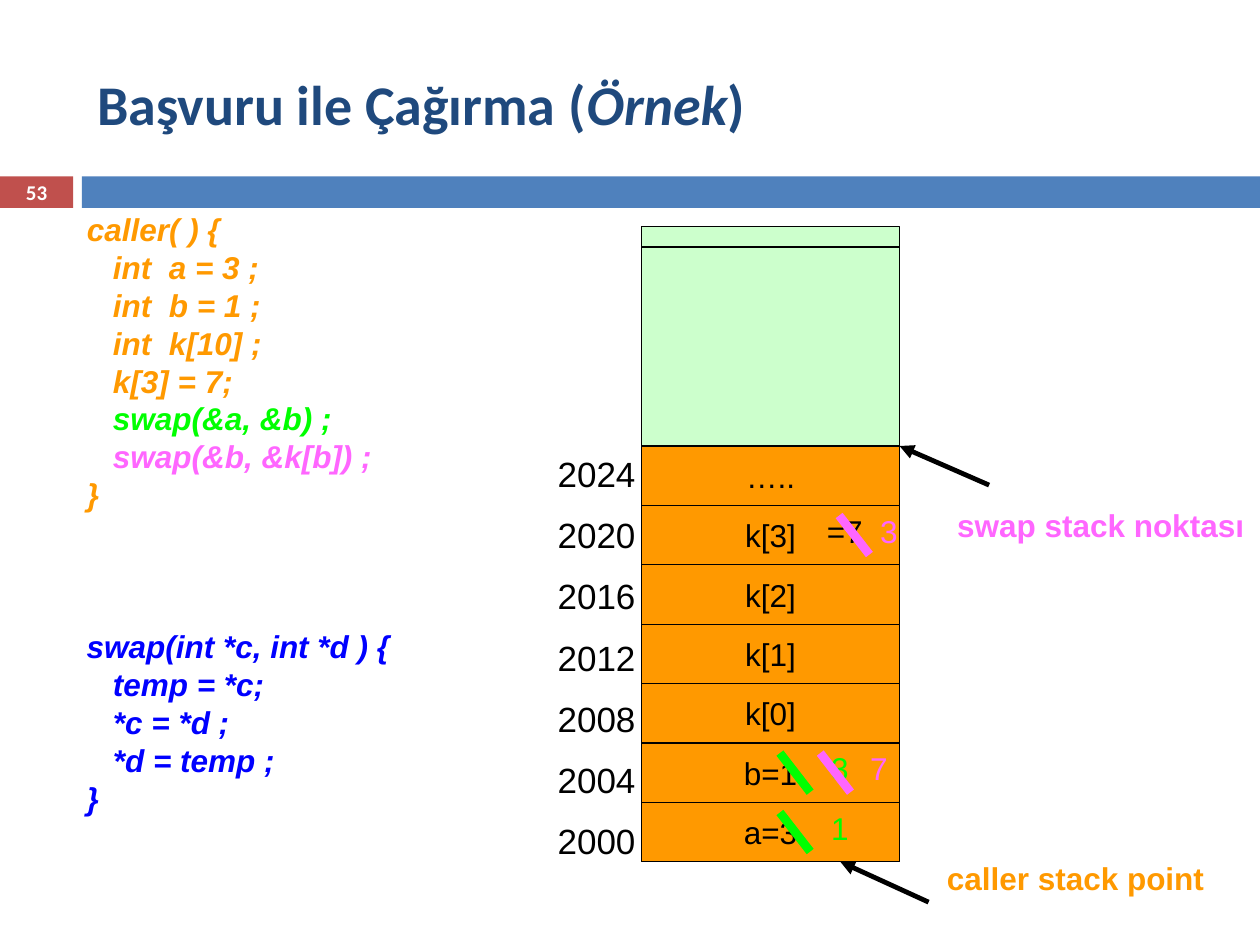
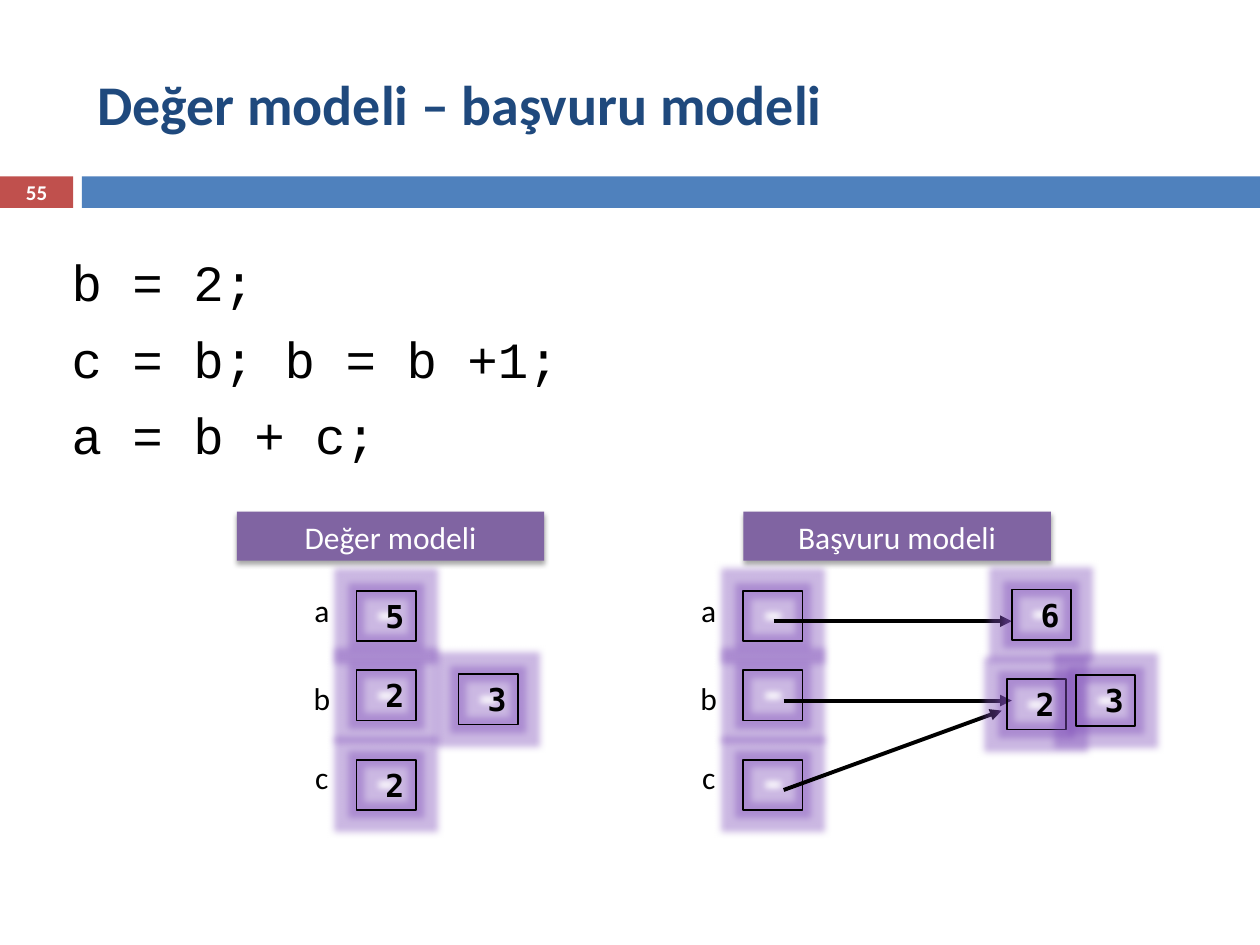
from lxml.etree import SubElement
from pptx import Presentation
from pptx.dml.color import RGBColor
from pptx.enum.shapes import MSO_CONNECTOR, MSO_SHAPE
from pptx.enum.text import MSO_ANCHOR, PP_ALIGN
from pptx.oxml.ns import qn
from pptx.util import Inches, Pt

# Colours
NAVY = RGBColor(0x1F, 0x49, 0x7D)
BLUE = RGBColor(0x4F, 0x81, 0xBD)
RED = RGBColor(0xC0, 0x50, 0x4D)
PURPLE = RGBColor(0x80, 0x64, 0xA2)
ORANGE = RGBColor(0xFF, 0x99, 0x00)
GREEN = RGBColor(0x00, 0xFF, 0x00)
MINT = RGBColor(0xCC, 0xFF, 0xCC)
PINK = RGBColor(0xFF, 0x66, 0xFF)
INK = RGBColor(0x00, 0x00, 0xFF)
BLACK = RGBColor(0, 0, 0)
WHITE = RGBColor(0xFF, 0xFF, 0xFF)

LEFT, MID, RIGHT = PP_ALIGN.LEFT, PP_ALIGN.CENTER, PP_ALIGN.RIGHT

# Memory stack: seven equal rows
STACK_X, STACK_W = 5.09, 2.05
STACK_TOP, STACK_END = 3.54, 6.84
CELLS = ["…..", "k[3]", "k[2]", "k[1]", "k[0]", "b=1", "a=3"]
ROW = (STACK_END - STACK_TOP) / len(CELLS)

CALLER = [
    ("caller( ) {", ORANGE),
    ("   int  a = 3 ;", ORANGE),
    ("   int  b = 1 ;", ORANGE),
    ("   int  k[10] ;", ORANGE),
    ("   k[3] = 7;", ORANGE),
    ("   swap(&a, &b) ;", GREEN),
    ("   swap(&b, &k[b]) ;", PINK),
    ("}", ORANGE),
]
SWAP = ["swap(int *c, int *d ) {", "   temp = *c;", "   *c = *d ;",
        "   *d = temp ;", "}"]


def row_top(index):
    return STACK_TOP + index * ROW


def style(run, size, color, name, bold=False, italic=False):
    font = run.font
    font.size, font.name = Pt(size), name
    font.bold, font.italic = bold, italic
    font.color.rgb = color


def write(shape, lines, size=18, color=BLACK, name="Arial", bold=False,
          italic=False, align=MID, gap=0, anchor=MSO_ANCHOR.TOP,
          inset=(0.1, 0.05), wrap=True):
    """Fill a shape with lines; a line may be a (text, colour) pair."""
    frame = shape.text_frame
    frame.word_wrap, frame.vertical_anchor = wrap, anchor
    frame.margin_left = frame.margin_right = Inches(inset[0])
    frame.margin_top = frame.margin_bottom = Inches(inset[1])
    pairs = [(line, color) if isinstance(line, str) else line for line in lines]
    frame.text = "\n".join(text for text, _ in pairs)
    for index, (para, (_, tint)) in enumerate(zip(frame.paragraphs, pairs)):
        para.alignment = align
        para.space_before = Pt(gap if index else 0)
        for run in para.runs:
            style(run, size, tint, name, bold, italic)


def label(slide, lines, x, y, w, h, **look):
    box = slide.shapes.add_textbox(Inches(x), Inches(y), Inches(w), Inches(h))
    write(box, lines, **look)


def rect(slide, x, y, w, h, fill=None, edge=None):
    shape = slide.shapes.add_shape(
        MSO_SHAPE.RECTANGLE, Inches(x), Inches(y), Inches(w), Inches(h))
    shape.shadow.inherit = False
    if fill is None:
        shape.fill.background()
    else:
        shape.fill.solid()
        shape.fill.fore_color.rgb = fill
    if edge is None:
        shape.line.fill.background()
    else:
        shape.line.color.rgb = BLACK
        shape.line.width = Pt(edge)
    return shape


def effect(shape, kind, color, alpha, **traits):
    """Add a glow or a shadow to a shape's effect list."""
    effects = shape.element.spPr.find(qn("a:effectLst"))
    node = SubElement(effects, qn("a:" + kind), traits)
    tint = SubElement(node, qn("a:srgbClr"), val=str(color))
    if kind == "glow":
        SubElement(tint, qn("a:satMod"), val="175000")
    SubElement(tint, qn("a:alpha"), val=str(alpha * 1000))


def line(slide, start, end, width, color=BLACK, arrow=False):
    link = slide.shapes.add_connector(
        MSO_CONNECTOR.STRAIGHT, *(Inches(v) for v in (*start, *end)))
    link.line.color.rgb = color
    link.line.width = Pt(width)
    props = link.element.spPr
    if arrow:
        SubElement(props.find(qn("a:ln")), qn("a:tailEnd"), type="triangle")
    SubElement(props, qn("a:effectLst"))


def start_slide(deck, parts, number):
    """Title-only slide with bands; parts are (text, italic) pairs."""
    slide = deck.slides.add_slide(deck.slide_layouts[5])
    rect(slide, 0, 1.4, 0.58, 0.25, RED)
    rect(slide, 0.65, 1.4, 9.35, 0.25, BLUE)
    title = slide.shapes.title
    title.left, title.top = Inches(0.67), Inches(0.28)
    title.width, title.height = Inches(8.92), Inches(1.08)
    frame = title.text_frame
    frame.vertical_anchor = MSO_ANCHOR.MIDDLE
    para = frame.paragraphs[0]
    para.alignment = LEFT
    for text, italic in parts:
        run = para.add_run()
        run.text = text
        style(run, 32, NAVY, "Calibri", True, italic)
    label(slide, [number], 0, 1.39, 0.58, 0.27, size=12, color=WHITE,
          name="Calibri", bold=True, anchor=MSO_ANCHOR.MIDDLE)
    return slide


def strike(slide, x, row, color):
    y = row_top(row) + 0.08
    line(slide, (x, y), (x + 0.24, y + 0.31), 5, color)


def value(slide, text, x, row, color, w=0.47):
    label(slide, [text], x, row_top(row), w, 0.5, color=color)


def glow_box(slide, x, y, text=""):
    box = rect(slide, x, y, 0.47, 0.4, edge=1)
    effect(box, "glow", PURPLE, 40, rad=str(Pt(8)))
    if text:
        write(box, [text], name="DejaVu Sans Mono", bold=True, align=RIGHT,
              inset=(0.09, 0.05))


def model(slide, x, name, box_x, values):
    """Banner with three named boxes under it."""
    banner = rect(slide, x, 4.06, 2.44, 0.39, PURPLE)
    effect(banner, "outerShdw", BLACK, 35, blurRad=str(Pt(3)),
           dist=str(Pt(2)), dir="5400000", rotWithShape="0")
    write(banner, [name], color=WHITE, name="Calibri", inset=(0.09, 0.05))
    rows = zip("abc", values, (4.69, 5.32, 6.03), (4.69, 5.39, 6.02))
    for letter, text, box_y, text_y in rows:
        glow_box(slide, box_x, box_y, text)
        label(slide, [letter], box_x - 0.47, text_y, 0.39, 0.33,
              name="Calibri", inset=(0, 0))


def call_slide(deck):
    slide = start_slide(deck, [("Başvuru ile Çağırma (", False),
                               ("Örnek", True), (")", False)], "53")
    # Code
    code = dict(bold=True, italic=True, align=LEFT)
    label(slide, CALLER, 0.59, 1.62, 3.15, 2.52, **code)
    label(slide, SWAP, 0.59, 4.93, 3.94, 1.6, color=INK, **code)

    # Stack with its addresses
    rect(slide, STACK_X, 1.8, STACK_W, STACK_END - 1.8, MINT, 0.75)
    rect(slide, STACK_X, 1.96, STACK_W, STACK_TOP - 1.96, MINT, 0.75)
    for index, text in enumerate(CELLS):
        cell = rect(slide, STACK_X, row_top(index), STACK_W, ROW, ORANGE, 0.75)
        write(cell, [text], anchor=MSO_ANCHOR.MIDDLE, wrap=False)
    label(slide, [str(n) for n in range(2024, 1999, -4)],
          3.83, 3.54, 1.81, 3.43, size=20, gap=11)

    # Values struck out and replaced
    value(slide, "=7", 6.27, 1, BLACK, 0.87)
    for row, text in ((6, "1"), (5, "3")):
        strike(slide, 6.19, row, GREEN)
        value(slide, text, 6.43, row, GREEN)
    for row, text, x, text_x in ((5, "7", 6.51, 6.74), (1, "3", 6.66, 6.82)):
        strike(slide, x, row, PINK)
        value(slide, text, text_x, row, PINK)

    # Stack pointers
    line(slide, (7.37, 7.16), (6.67, STACK_END), 2.75, arrow=True)
    line(slide, (7.85, 3.85), (7.14, STACK_TOP), 2.75, arrow=True)
    label(slide, ["caller stack point"], 7.14, 6.77, 2.79, 0.4,
          color=ORANGE, bold=True)
    label(slide, ["swap stack noktası"], 7.34, 3.97, 2.79, 0.4,
          color=PINK, bold=True)


def model_slide(deck):
    slide = start_slide(deck, [("Değer modeli – başvuru modeli", False)], "55")
    label(slide, ["b = 2;", "c = b; b = b +1;", "a = b + c;"],
          0.47, 1.94, 8.5, 1.8, size=29, name="Courier New", align=LEFT, gap=9)

    # Value model
    model(slide, 1.88, "Değer modeli", 2.83, ["5", "2", "2"])
    glow_box(slide, 3.64, 5.35, "3")

    # Reference model
    model(slide, 5.9, "Başvuru modeli", 5.9, ["", "", ""])
    for start, end in (((6.14, 4.93), (8.03, 4.93)),
                       ((6.22, 5.56), (8.03, 5.56)),
                       ((6.22, 6.27), (7.95, 5.64))):
        line(slide, start, end, 2.25, arrow=True)
    for x, y, text in ((8.03, 4.68, "6"), (7.99, 5.39, "2"), (8.54, 5.36, "3")):
        glow_box(slide, x, y, text)


def main():
    deck = Presentation()
    deck.slide_width, deck.slide_height = Inches(10), Inches(7.5)
    call_slide(deck)
    model_slide(deck)
    deck.save("out.pptx")


if __name__ == "__main__":
    main()
